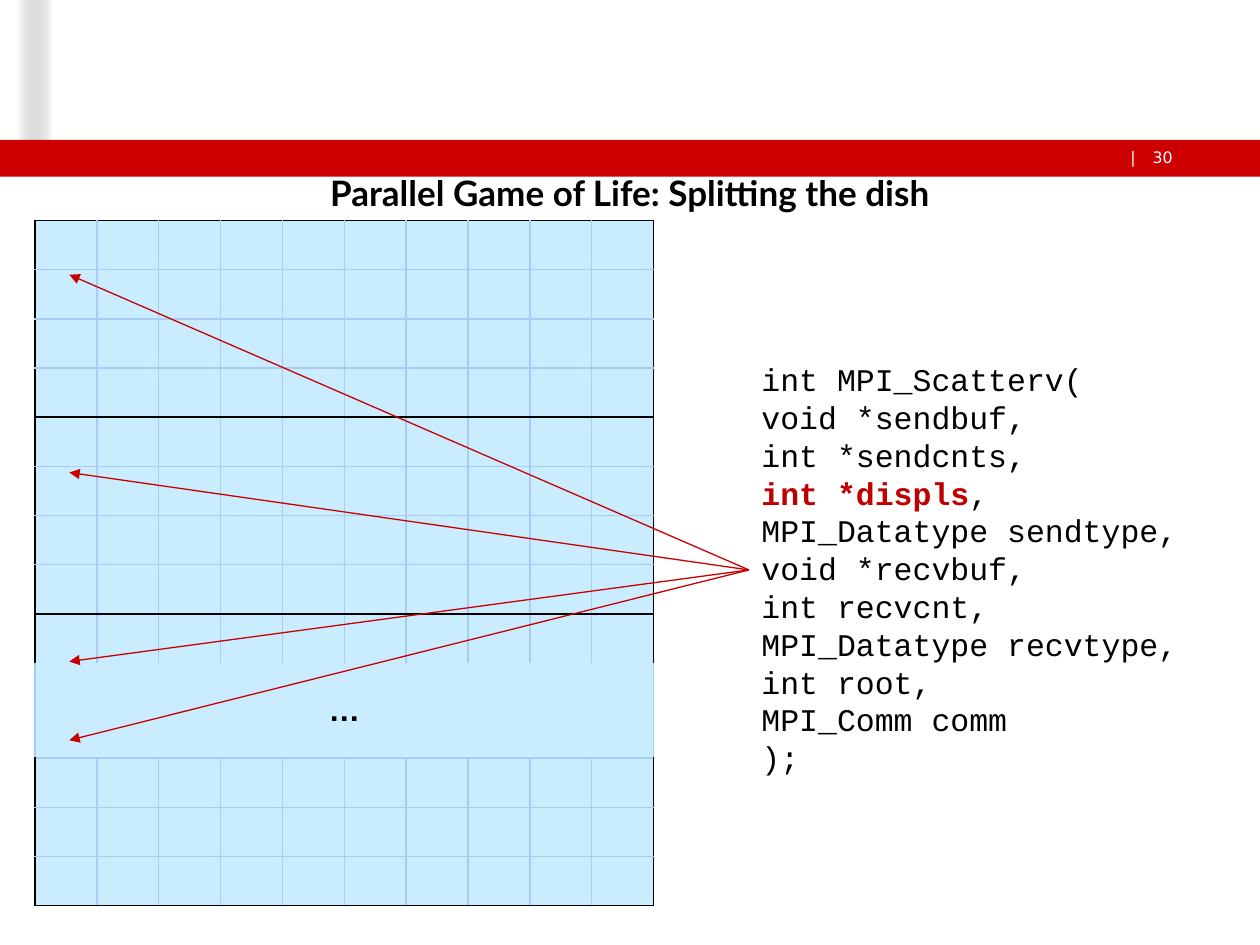
from lxml.etree import SubElement
from pptx import Presentation
from pptx.dml.color import RGBColor
from pptx.enum.shapes import MSO_CONNECTOR, MSO_SHAPE
from pptx.enum.text import MSO_ANCHOR, MSO_AUTO_SIZE, PP_ALIGN
from pptx.oxml.ns import qn
from pptx.util import Pt

COLORS = {name: RGBColor.from_string(value) for name, value in {
    "white": "FFFFFF", "black": "000000", "grey": "757575", "red": "CC0000",
    "arrow": "C80000", "key": "C00000", "cell": "C9ECFF", "grid": "AACBF6",
}.items()}

deck = Presentation()
deck.slide_width, deck.slide_height = Pt(720), Pt(540)
slide = deck.slides.add_slide(deck.slide_layouts[6])
shapes = slide.shapes


def add_text(box, lines, font, size, color, bold=False, align=PP_ALIGN.LEFT,
             inset=None, wrap=True):
    """Add a text box; each line is a list of (text, is_key) runs."""
    frame = shapes.add_textbox(*map(Pt, box)).text_frame
    frame.word_wrap = wrap
    if inset is not None:
        frame.margin_left = frame.margin_right = Pt(inset)
        frame.margin_top = frame.margin_bottom = Pt(inset)
    for i, line in enumerate(lines):
        para = frame.paragraphs[0] if i == 0 else frame.add_paragraph()
        para.alignment = align
        para.font.name, para.font.size = font, Pt(size)
        para.font.bold, para.font.color.rgb = bold, COLORS[color]
        for text, key in line:
            run = para.add_run()
            run.text = text
            if key:
                run.font.bold = True
                run.font.color.rgb = COLORS["key"]
    return frame


def set_border(cell, side, color):
    """Draw one cell edge (L, R, T or B); None hides it."""
    line = SubElement(cell._tc.get_or_add_tcPr(), qn(f"a:ln{side}"), w=str(Pt(1)))
    if color:
        fill = SubElement(line, qn("a:solidFill"))
        SubElement(fill, qn("a:srgbClr"), val=str(COLORS[color]))
    else:
        SubElement(line, qn("a:noFill"))


# Header
for left, top, width, height, color in [
    (10, 0, 20, 80, None),
    (0, 0, 10, 80, "white"),
    (0, 80, 720, 21, "red"),
]:
    bar = shapes.add_shape(MSO_SHAPE.RECTANGLE, Pt(left), Pt(top), Pt(width), Pt(height))
    bar.shadow.inherit = False
    bar.line.fill.background()
    if color:
        bar.fill.solid()
        bar.fill.fore_color.rgb = COLORS[color]
    else:
        bar.fill.gradient()
        bar.fill.gradient_angle = 0
        for stop, shade in zip(bar.fill.gradient_stops, ("white", "grey")):
            stop.color.rgb = COLORS[shade]
        last = list(bar._element.spPr.iter(qn("a:srgbClr")))[-1]
        SubElement(last, qn("a:alpha"), val="0")

add_text((650, 84.5, 20, 11), [[("30", False)]], "DejaVu Sans", 9, "white",
         align=PP_ALIGN.RIGHT, inset=0)
add_text((646, 84.5, 4, 11), [[("|", False)]], "DejaVu Sans", 9, "white",
         inset=0, wrap=False)

# Dish, cut into blocks of rows
COLS, ROWS, GAP = 10, 13, 9
STARTS, ENDS = (0, 4, 8), (3, 7, 12)
frame = shapes.add_table(ROWS, COLS, Pt(20), Pt(126), Pt(353.6), Pt(391.6))
dish = frame.table
dish.first_row = dish.horz_banding = False
for col in dish.columns:
    col.width = Pt(35.36)
for r, row in enumerate(dish.rows):
    row.height = Pt(54.4 if r == GAP else 28.1)
    for c, cell in enumerate(row.cells):
        cell.margin_top = cell.margin_bottom = 0
        edges = {
            "L": "black" if c == 0 and r != GAP else "grid",
            "R": "black" if c == COLS - 1 and r != GAP else "grid",
            "T": "black" if r in STARTS else None if r == GAP else "grid",
            "B": "black" if r in ENDS else None if r == GAP - 1 else "grid",
        }
        for side, color in edges.items():
            set_border(cell, side, color)
        cell.fill.solid()
        cell.fill.fore_color.rgb = COLORS["cell"]

gap = dish.cell(GAP, 0)
gap.merge(dish.cell(GAP, COLS - 1))
gap.text = "…"
gap.vertical_anchor = MSO_ANCHOR.MIDDLE
para = gap.text_frame.paragraphs[0]
para.alignment = PP_ALIGN.CENTER
para.font.name, para.font.size, para.font.bold = "Arial", Pt(18), True
para.font.color.rgb = COLORS["black"]

# Title and code
title = add_text((86.4, 94.5, 547.2, 31.5),
                 [[("Parallel Game of Life: Splitting the dish", False)]],
                 "Lato", 20, "black", bold=True, align=PP_ALIGN.CENTER)
title.vertical_anchor = MSO_ANCHOR.MIDDLE

code = add_text((428, 202.3, 253, 247), [
    [("int MPI_Scatterv(", False)],
    [("void *sendbuf,", False)],
    [("int *sendcnts,", False)],
    [("int *displs", True), (", MPI_Datatype sendtype, void *recvbuf,", False)],
    [("int recvcnt, MPI_Datatype recvtype, int root,", False)],
    [("MPI_Comm comm", False)],
    [(");", False)],
], "Courier New", 18, "black")
code.auto_size = MSO_AUTO_SIZE.SHAPE_TO_FIT_TEXT

# Arrows from the code to each block
for end in (157, 270, 378, 423):
    arrow = shapes.add_connector(MSO_CONNECTOR.STRAIGHT, Pt(428), Pt(325.7), Pt(39.6), Pt(end))
    arrow.line.color.rgb = COLORS["arrow"]
    arrow.line.width = Pt(0.75)
    SubElement(arrow.line._get_or_add_ln(), qn("a:tailEnd"), type="triangle")
    SubElement(arrow._element.spPr, qn("a:effectLst"))

deck.save("out.pptx")
